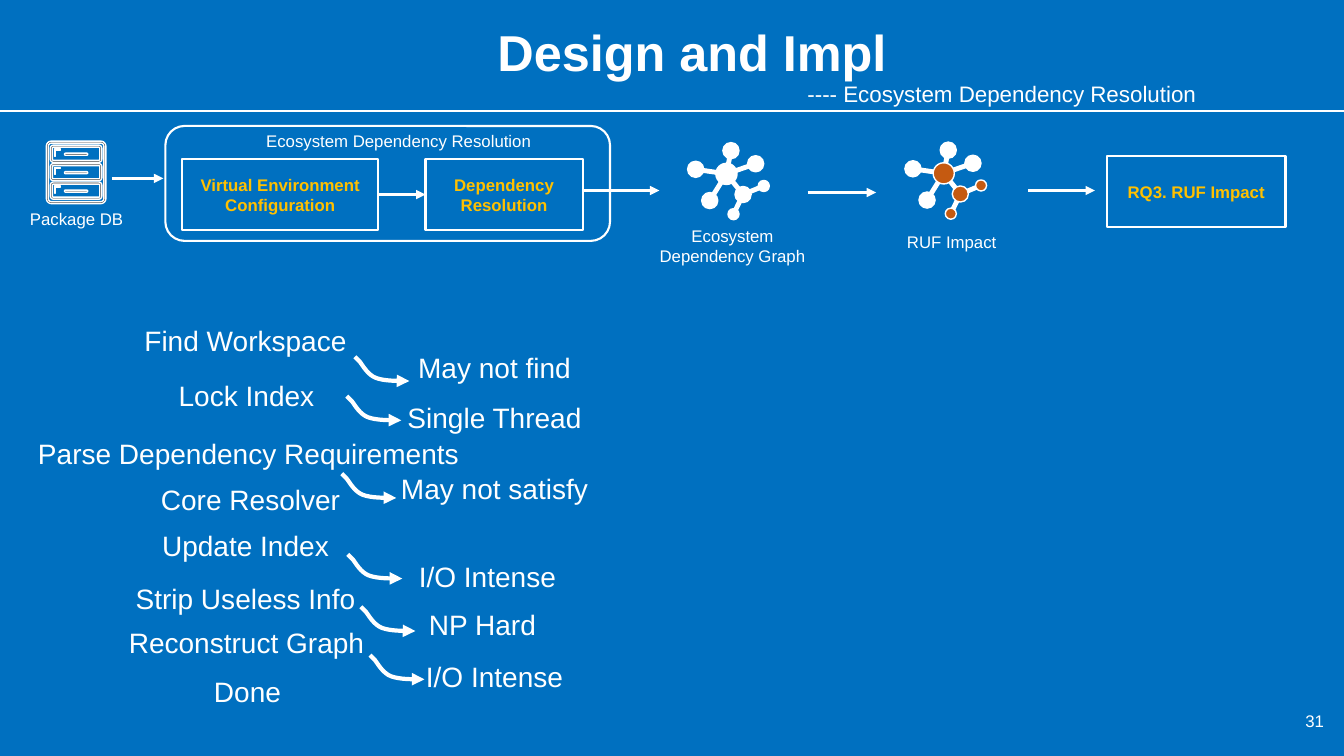
import math
import pptx
import pptx.dml.color
import pptx.enum.shapes
import pptx.enum.text
import pptx.oxml.ns
import pptx.util
from lxml import etree

BLUE = pptx.dml.color.RGBColor(0x00, 0x70, 0xC0)
WHITE = pptx.dml.color.RGBColor(0xFF, 0xFF, 0xFF)
GOLD = pptx.dml.color.RGBColor(0xFF, 0xC0, 0x00)
ORANGE = pptx.dml.color.RGBColor(0xC5, 0x5A, 0x11)
GREY = pptx.dml.color.RGBColor(0x40, 0x40, 0x40)
CENTER = pptx.enum.text.PP_ALIGN.CENTER
MIDDLE = pptx.enum.text.MSO_ANCHOR.MIDDLE
TOP = pptx.enum.text.MSO_ANCHOR.TOP
SHAPE = pptx.enum.shapes.MSO_SHAPE
STRAIGHT = pptx.enum.shapes.MSO_CONNECTOR.STRAIGHT

# Grid: square cells, 133.3 columns by 75 rows
CELL = pptx.util.Inches(0.1)
COLUMNS, ROWS = 133.3, 75

deck = pptx.Presentation()
deck.slide_width = round(COLUMNS * CELL)
deck.slide_height = round(ROWS * CELL)
slide = deck.slides.add_slide(deck.slide_layouts[5])
slide.background.fill.solid()
slide.background.fill.fore_color.rgb = BLUE


def write(shape, text, size=12, color=WHITE, bold=False, align=CENTER, anchor=TOP):
    frame = shape.text_frame
    frame.text = text
    layout = {"word_wrap": True, "vertical_anchor": anchor,
              "auto_size": pptx.enum.text.MSO_AUTO_SIZE.NONE}
    for name, value in layout.items():
        setattr(frame, name, value)
    letters = {"name": "Arial", "size": pptx.util.Pt(size), "bold": bold}
    for paragraph in frame.paragraphs:
        paragraph.alignment = align
        for name, value in letters.items():
            setattr(paragraph.runs[0].font, name, value)
        paragraph.runs[0].font.color.rgb = color


def stroke(shape, weight, arrow=False):
    shape.line.color.rgb = WHITE
    shape.line.width = pptx.util.Pt(weight)
    properties = shape.element.spPr
    if arrow:
        outline = properties.find(pptx.oxml.ns.qn("a:ln"))
        etree.SubElement(outline, pptx.oxml.ns.qn("a:tailEnd"), type="triangle")
    etree.SubElement(properties, pptx.oxml.ns.qn("a:effectLst"))


# Title and the rule below it
title = slide.shapes.title
title_place = {"left": 20.2, "top": 0.9, "width": 96.9, "height": 9.1}
for side, cells in title_place.items():
    setattr(title, side, round(cells * CELL))
write(title, "Design and Impl", 36, bold=True, anchor=MIDDLE)
title.text_frame.paragraphs[0].line_spacing = 0.9
rule = slide.shapes.add_connector(STRAIGHT, 0, 11 * CELL, deck.slide_width, 11 * CELL)
stroke(rule, 1.5)

# Pipeline boxes
stages = {}
for stage, kind, left, top, width, height in [
    ("", SHAPE.ROUNDED_RECTANGLE, 16.4, 12.5, 44.1, 11.4),
    ("Virtual Environment\nConfiguration", SHAPE.RECTANGLE, 18.1, 15.8, 19.4, 7),
    ("Dependency\nResolution", SHAPE.RECTANGLE, 42.2, 15.8, 15.6, 7),
    ("RQ3. RUF Impact", SHAPE.RECTANGLE, 109.8, 15.5, 17.7, 7),
]:
    box = slide.shapes.add_shape(kind, *(round(n * CELL) for n in (left, top, width, height)))
    box.fill.background()
    stroke(box, 1.5)
    if stage:
        write(box, stage, color=GOLD, bold=True, anchor=MIDDLE)
    stages[stage] = box

# Pipeline arrows
for start, end, row in [(11.1, 16.2, 17.7), (57.9, 65.4, 18.9),
                        (80.1, 86.9, 19.1), (102, 108.6, 18.9), (37.5, 42.2, 19.3)]:
    flow = slide.shapes.add_connector(
        STRAIGHT, *(round(n * CELL) for n in (start, row, end, row)))
    stroke(flow, 2.25, arrow=True)
# The last arrow joins the two inner boxes
flow.begin_connect(stages["Virtual Environment\nConfiguration"], 3)
flow.end_connect(stages["Dependency\nResolution"], 1)

# Dependency graphs: column and row from the hub, diameter, parent, hit by RUF
NODES = [
    (1.65, 2.05, 1.6, 7, True),
    (-1.65, 2.65, 1.6, 7, False),
    (2.9, -1, 1.6, 7, False),
    (0.7, 4, 1.1, 0, True),
    (3.7, 1.2, 1.1, 0, True),
    (0.45, -2.3, 1.6, 7, False),
    (-3.05, -0.45, 1.6, 7, False),
    (0, 0, 2.1, 7, True),
]
for hub_x, hub_y, hit_color in [(72.05, 17.25, WHITE), (93.6, 17.2, ORANGE)]:
    graph = slide.shapes.add_group_shape()
    for x, y, _, parent, _ in NODES[:-1]:
        parent_x, parent_y = NODES[parent][:2]
        link = graph.shapes.add_connector(STRAIGHT, *(round(n * CELL) for n in (
            hub_x + parent_x, hub_y + parent_y, hub_x + x, hub_y + y)))
        stroke(link, 3.5)
    for x, y, size, _, hit in NODES:
        node = graph.shapes.add_shape(SHAPE.OVAL, *(round(n * CELL) for n in (
            hub_x + x - size / 2, hub_y + y - size / 2, size, size)))
        node.fill.solid()
        node.fill.fore_color.rgb = hit_color if hit else WHITE
        stroke(node, 1)

# Database icon: rounded outlines (left, top, right, bottom, radius) and corner ticks
rounded = [(4.6, 14, 10.5, 20.2, 0.5), (4.8, 14.2, 10.3, 20, 0.3)]
contours = []
for drawer in range(3):
    y = 14.4 + 1.83 * drawer
    rounded += [(5, y, 10.1, y + 1.7, 0.3), (5.2, y + 0.2, 9.9, y + 1.5, 0.1),
                (6.4, y + 0.8, 8.7, y + 1, 0.1)]
    contours.append([(5.4, y + 0.4), (5.4, y + 1.1), (5.5, y + 1.1),
                     (5.5, y + 0.5), (6, y + 0.5), (6, y + 0.4)])
for left, top, right, bottom, radius in rounded:
    corners = [(right - radius, bottom - radius), (left + radius, bottom - radius),
               (left + radius, top + radius), (right - radius, top + radius)]
    contours.append([
        (x + radius * math.cos(math.radians(90 * turn + angle)),
         y + radius * math.sin(math.radians(90 * turn + angle)))
        for turn, (x, y) in enumerate(corners) for angle in range(0, 91, 15)])
pen = slide.shapes.build_freeform(*(n * CELL for n in contours[0][0]))
for contour in contours:
    points = [(x * CELL, y * CELL) for x, y in contour]
    pen.move_to(*points[0])
    pen.add_line_segments(points[1:], close=True)
database = pen.convert_to_shape()
database.fill.solid()
database.fill.fore_color.rgb = GREY
stroke(database, 1)

# Curved arrows: cubic pieces, in cells from the arrow's start
BENDS = [[(0, 0), (0.1, 0.1), (0.1, 0.1), (0.5, 0.5)],
         [(0.5, 0.5), (0.8, 0.9), (1.3, 1.8), (2.1, 2.1)],
         [(2.1, 2.1), (2.9, 2.4), (4.2, 2.4), (5.4, 2.4)]]
STEPS = 8
for start_x, start_y in [(35.2, 35.4), (34.4, 39.3), (33.9, 47),
                         (34.5, 55), (35.8, 60.2), (36.7, 65)]:
    pen = slide.shapes.build_freeform(start_x * CELL, start_y * CELL)
    for bend in BENDS:
        for step in range(1, STEPS + 1):
            t = step / STEPS
            weights = [(1 - t) ** 3, 3 * t * (1 - t) ** 2, 3 * t * t * (1 - t), t ** 3]
            x, y = (sum(w * p[axis] for w, p in zip(weights, bend)) for axis in (0, 1))
            pen.add_line_segments([((start_x + x) * CELL, (start_y + y) * CELL)], close=False)
    hint = pen.convert_to_shape()
    hint.fill.background()
    stroke(hint, 3, arrow=True)

# Captions, resolution steps and their remarks
captions = [
    ("Ecosystem Dependency Resolution", 23.8, 12.5, 31.5, 3.1),
    ("Ecosystem\nDependency Graph", 63.9, 21.9, 17.5, 5.2),
    ("RUF Impact", 88.6, 22.5, 11.6, 3.1),
    ("Package DB", 1.6, 20.2, 12, 3.1),
]
steps = [("Find Workspace", 1.9, 31.6), ("Lock Index", 2, 37.1),
         ("Parse Dependency Requirements", 2.2, 42.8), ("Core Resolver", 2.4, 47.4),
         ("Update Index", 1.9, 51.9), ("Strip Useless Info", 1.9, 57.2),
         ("Reconstruct Graph", 2, 61.6), ("Done", 2.1, 66.4)]
remarks = [("May not find", 36.4, 34.3), ("Single Thread", 36.4, 39.2),
           ("May not satisfy", 36.4, 46.3), ("I/O Intense", 35.7, 55),
           ("NP Hard", 35.2, 59.8), ("I/O Intense", 36.4, 64.9)]
LEFT, RIGHT = pptx.enum.text.PP_ALIGN.LEFT, pptx.enum.text.PP_ALIGN.RIGHT
labels = [(*caption, 12, CENTER, TOP) for caption in captions]
labels += [(*step, 44.9, 4.4, 20, CENTER, TOP) for step in steps]
labels += [(*remark, 25.3, 4.4, 20, CENTER, TOP) for remark in remarks]
labels += [("---- Ecosystem Dependency Resolution", 79.1, 7.5, 54.2, 3.7, 16, LEFT, TOP),
           ("31", 127, 69.5, 5.3, 4, 12, RIGHT, MIDDLE)]
for text, left, top, width, height, size, align, anchor in labels:
    label = slide.shapes.add_textbox(*(round(n * CELL) for n in (left, top, width, height)))
    write(label, text, size, align=align, anchor=anchor)

deck.save("out.pptx")
